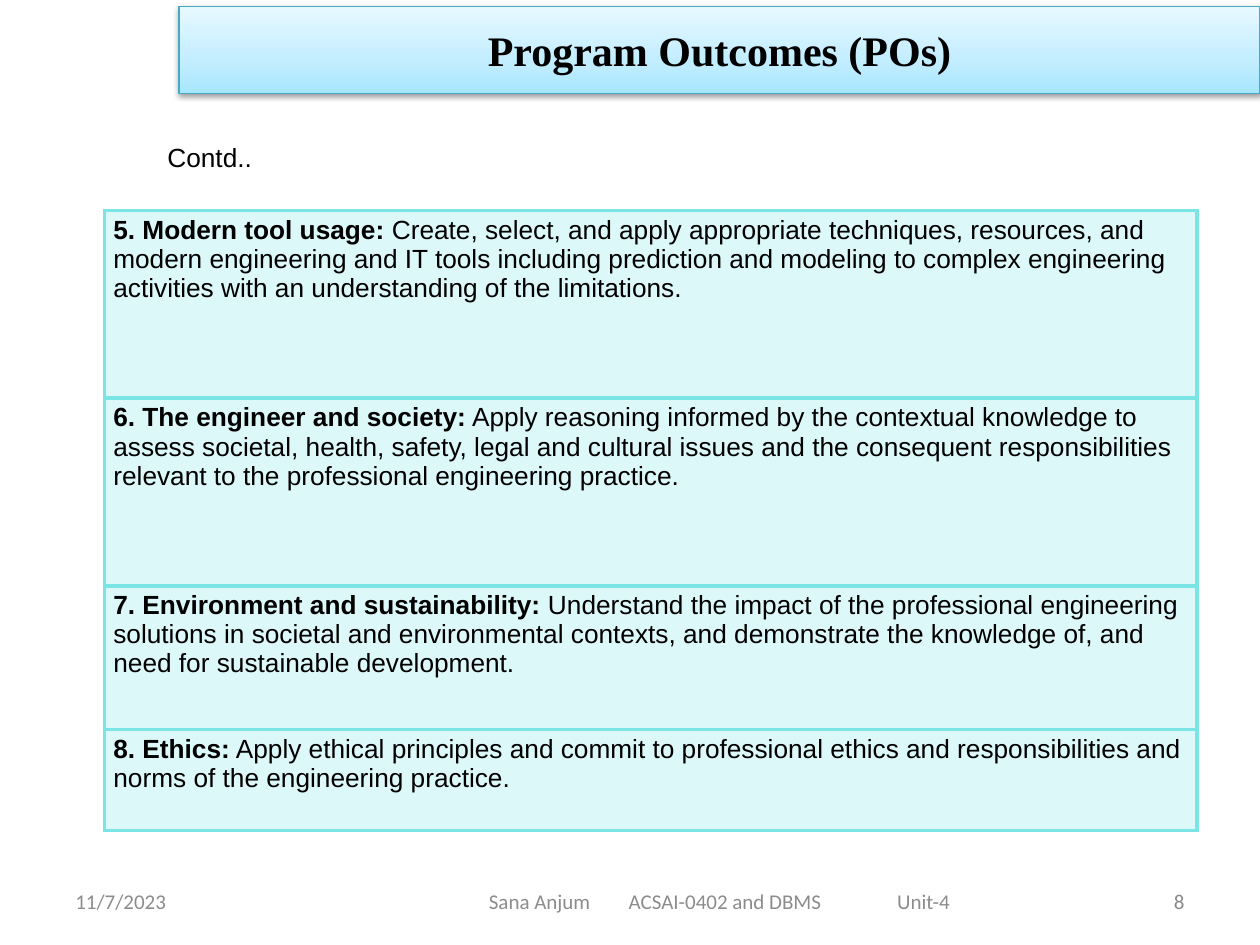
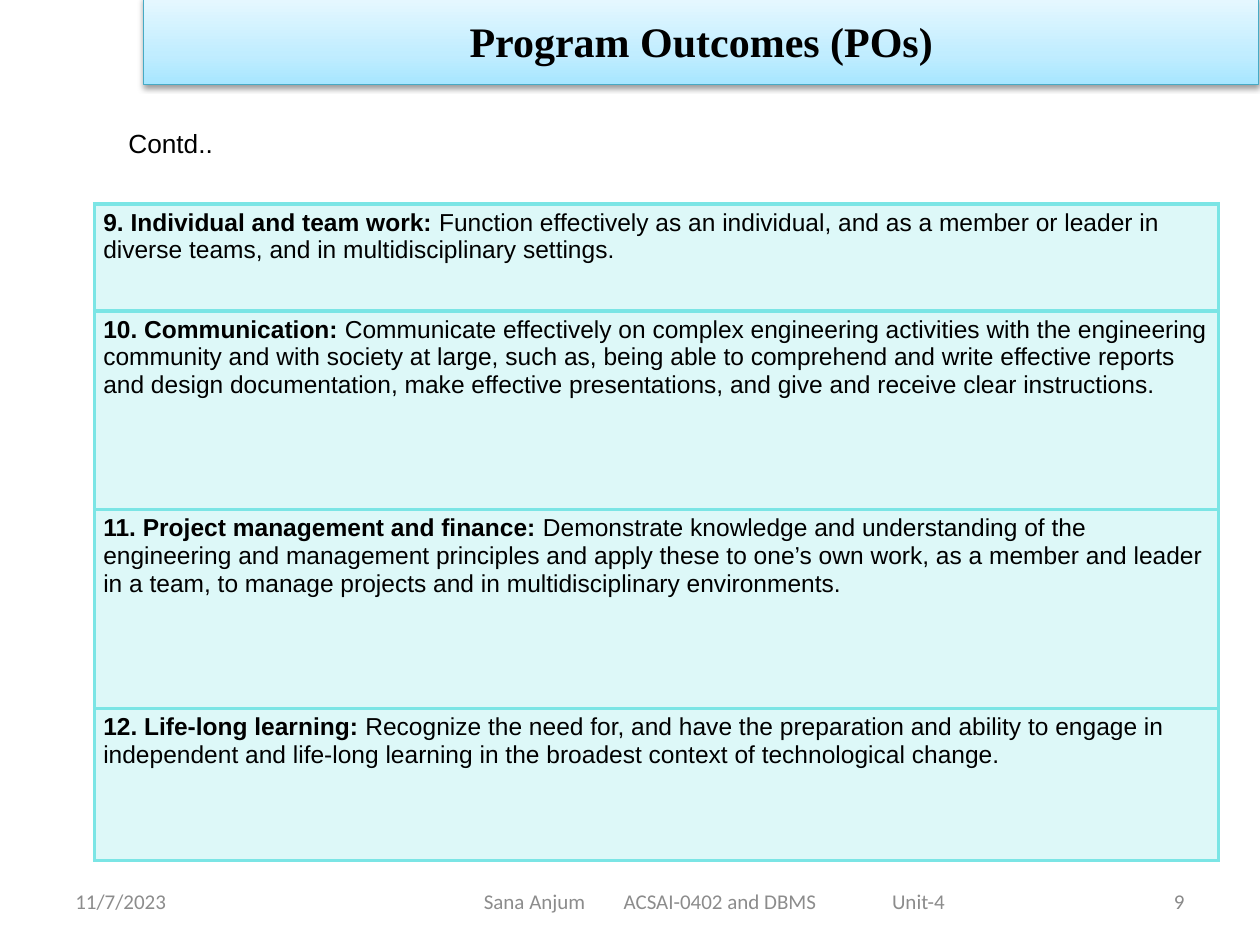
from collections import namedtuple
from dataclasses import dataclass

from lxml import etree
from pptx import Presentation
from pptx.dml.color import RGBColor
from pptx.enum.shapes import MSO_SHAPE
from pptx.enum.text import MSO_ANCHOR, PP_ALIGN
from pptx.oxml.ns import qn
from pptx.util import Inches, Pt

RECT = MSO_SHAPE.RECTANGLE
MIDDLE, TOP = MSO_ANCHOR.MIDDLE, MSO_ANCHOR.TOP
LEFT, CENTER, RIGHT = PP_ALIGN.LEFT, PP_ALIGN.CENTER, PP_ALIGN.RIGHT

# The slide is a grid of 100 columns by 75 rows of square units.
COLS, ROWS = 100, 75
UNIT = Inches(0.1)
Box = namedtuple("Box", "x y w h")


@dataclass(frozen=True)
class Theme:
    ink: str = "000000"
    muted: str = "8C8C8C"
    number: str = "898989"
    cell: str = "7BE5E5"
    band_line: str = "46AAC5"
    band_fill: tuple = ((0, "A7E6FF"), (35, "C1EDFF"), (100, "E7F8FF"))
    title_font: str = "Times New Roman"
    body_font: str = "Arial"
    foot_font: str = "Calibri"
    title_size: int = 24
    body_size: int = 15
    foot_size: int = 12


THEME = Theme()
TITLE = "Program Outcomes (POs)"
DATE = "11/7/2023"
CREDIT = ("Sana Anjum", "ACSAI-0402 and DBMS", "Unit-4")
CREDIT_STOPS = (11.1, 32.4)
CREDIT_WIDTH = 36.6

PAGES = [
    dict(
        number=8, band=Box(14.2, 0.5, 85.8, 6.9), note=Box(12.3, 10.7, 8.8, 3.5),
        grid=Box(8.3, 16.7, 86.7, 49.2), shares=(1.49, 1.49, 1.14, 0.8),
        size=15, credit_w=45.8,
        items=[
            ("5. Modern tool usage:",
             "Create, select, and apply appropriate techniques, resources, and modern "
             "engineering and IT tools including prediction and modeling to complex "
             "engineering activities with an understanding of the limitations."),
            ("6. The engineer and society:",
             "Apply reasoning informed by the contextual knowledge to assess societal, "
             "health, safety, legal and cultural issues and the consequent "
             "responsibilities relevant to the professional engineering practice."),
            ("7. Environment and sustainability:",
             "Understand the impact of the professional engineering solutions in "
             "societal and environmental contexts, and demonstrate the knowledge of, "
             "and need for sustainable development."),
            ("8. Ethics:",
             "Apply ethical principles and commit to professional ethics and "
             "responsibilities and norms of the engineering practice."),
        ],
    ),
    dict(
        number=9, band=Box(11.4, -0.2, 88.5, 6.9), note=Box(9.2, 9.6, 8.8, 3.5),
        grid=Box(7.5, 16.2, 89.2, 52.1), shares=(0.85, 1.58, 1.58, 1.21),
        size=14, credit_w=45,
        items=[
            ("9. Individual and team work:",
             "Function effectively as an individual, and as a member or leader in "
             "diverse teams, and in multidisciplinary settings."),
            ("10. Communication:",
             "Communicate effectively on complex engineering activities with the "
             "engineering community and with society at large, such as, being able to "
             "comprehend and write effective reports and design documentation, make "
             "effective presentations, and give and receive clear instructions."),
            ("11. Project management and finance:",
             "Demonstrate knowledge and understanding of the engineering and "
             "management principles and apply these to one’s own work, as a member "
             "and leader in a team, to manage projects and in multidisciplinary "
             "environments."),
            ("12. Life-long learning:",
             "Recognize the need for, and have the preparation and ability to engage "
             "in independent and life-long learning in the broadest context of "
             "technological change."),
        ],
    ),
]


def units(count):
    return int(count * UNIT)


def place(box):
    return [units(side) for side in box]


def node(parent, tag, **attrs):
    return etree.SubElement(parent, qn(tag), {k: str(v) for k, v in attrs.items()})


def style(font, face, size, color, bold=False):
    font.name, font.size, font.bold = face, Pt(size), bold
    font.color.rgb = RGBColor.from_string(color)


def add_text(slide, box, text, face, size, color, align=LEFT, anchor=MIDDLE, wrap=True):
    frame = slide.shapes.add_textbox(*place(box)).text_frame
    frame.word_wrap = wrap
    frame.vertical_anchor = anchor
    para = frame.paragraphs[0]
    para.text, para.alignment = text, align
    style(para.runs[0].font, face, size, color)
    return frame


def add_band(slide, box):
    band = slide.shapes.add_shape(RECT, *place(box))
    band.line.color.rgb = RGBColor.from_string(THEME.band_line)
    band.line.width = Pt(0.75)
    band.fill.gradient()
    band.fill.gradient_angle = 90
    stops = band.element.spPr.find(".//" + qn("a:gsLst"))
    for stop in list(stops):
        stops.remove(stop)
    for share, color in THEME.band_fill:
        node(node(stops, "a:gs", pos=share * 1000), "a:srgbClr", val=color)

    band.shadow.inherit = False
    effects = band.element.spPr.find(qn("a:effectLst"))
    shade = node(effects, "a:outerShdw", blurRad=Pt(3.1), dist=Pt(1.6),
                 dir=90 * 60000, rotWithShape=0)
    node(node(shade, "a:srgbClr", val=THEME.ink), "a:alpha", val=38000)

    frame = band.text_frame
    frame.vertical_anchor = MIDDLE
    para = frame.paragraphs[0]
    para.text, para.alignment = TITLE, CENTER
    style(para.runs[0].font, THEME.title_font, THEME.title_size, THEME.ink, True)


def paint(cell):
    """Give a cell its borders and a see-through fill of the same colour."""
    props = cell._tc.get_or_add_tcPr()
    for side in ("a:lnL", "a:lnR", "a:lnT", "a:lnB"):
        edge = node(props, side, w=Pt(2.25))
        node(node(edge, "a:solidFill"), "a:srgbClr", val=THEME.cell)
    cell.fill.solid()
    cell.fill.fore_color.rgb = RGBColor.from_string(THEME.cell)
    tint = props.find(qn("a:solidFill")).find(qn("a:srgbClr"))
    node(tint, "a:alpha", val=25000)


def add_items(slide, box, items, shares, size):
    table = slide.shapes.add_table(len(items), 1, *place(box)).table
    table.first_row = table.horz_banding = False
    for row, share, (head, body) in zip(table.rows, shares, items):
        row.height = units(box.h * share / sum(shares))
        cell = row.cells[0]
        cell.margin_left = cell.margin_right = units(0.7)
        cell.margin_top = cell.margin_bottom = units(0.4)
        para = cell.text_frame.paragraphs[0]
        for text, bold in ((head, True), (" " + body, False)):
            run = para.add_run()
            run.text = text
            style(run.font, THEME.body_font, size, THEME.ink, bold)
        paint(cell)


def add_footer(slide, box, number, credit_w):
    look = THEME.foot_font, THEME.foot_size
    side = 23.3
    add_text(slide, Box(box.x, box.y, side, box.h), DATE, *look, THEME.muted)
    frame = add_text(slide, Box(box.x + 29.2, box.y, credit_w, box.h),
                     "\t".join(CREDIT), *look, THEME.muted)
    frame.margin_left = units((credit_w - CREDIT_WIDTH) / 2)
    frame.margin_right = 0
    tabs = node(frame.paragraphs[0]._p.get_or_add_pPr(), "a:tabLst")
    for stop in CREDIT_STOPS:
        node(tabs, "a:tab", pos=units(stop), algn="l")
    add_text(slide, Box(box.x + box.w - side, box.y, side, box.h), str(number),
             *look, THEME.number, RIGHT)


def add_page(deck, page):
    slide = deck.slides.add_slide(deck.slide_layouts[6])
    add_footer(slide, Box(5, 69.5, 90, 4), page["number"], page["credit_w"])
    add_items(slide, page["grid"], page["items"], page["shares"], page["size"])
    add_text(slide, page["note"], "Contd..", THEME.body_font, THEME.body_size,
             THEME.ink, anchor=TOP, wrap=False)
    add_band(slide, page["band"])


def main():
    deck = Presentation()
    deck.slide_width, deck.slide_height = units(COLS), units(ROWS)
    for page in PAGES:
        add_page(deck, page)
    deck.save("out.pptx")


if __name__ == "__main__":
    main()
